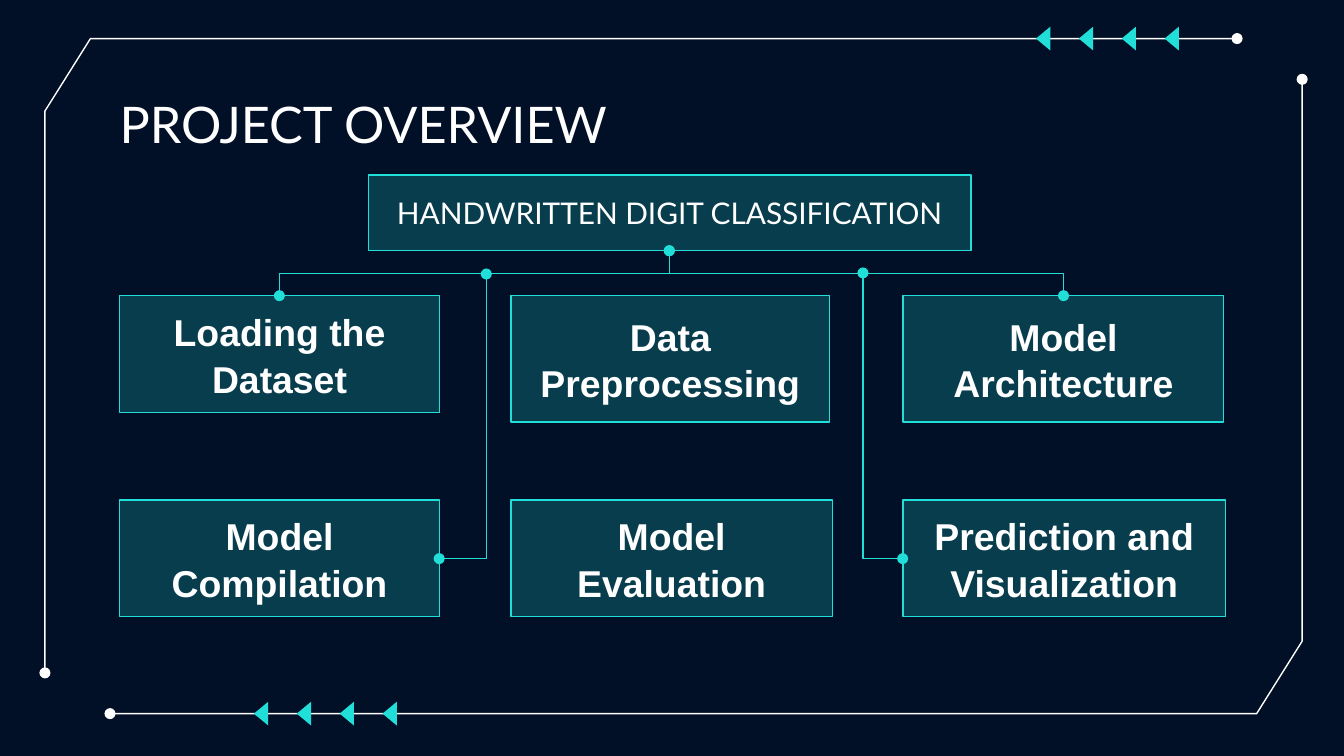
from dataclasses import dataclass

import pptx
import pptx.dml.color
import pptx.enum.shapes
import pptx.enum.text
import pptx.oxml
import pptx.oxml.ns
import pptx.util
from pptx.util import Cm, Pt

COLORS = {"night": "011027", "teal": "21DFD8", "white": "FFFFFF"}
TEAL_OPACITY = 22
MARGIN = 0.25
Point = tuple[float, float]


@dataclass(frozen=True)
class Box:
    text: str
    left: float
    top: float
    width: float
    height: float
    font: str = "Arial"
    size: int = 20
    bold: bool = True
    spacing: float = 1.04


@dataclass(frozen=True)
class Link:
    start: Point
    end: Point
    preset: str


COLUMNS = (2.26, 9.66, 17.07)
TOP_ROW, BOTTOM_ROW = 5.59, 9.45
BOXES = (
    Box("HANDWRITTEN DIGIT CLASSIFICATION", 6.97, 3.31, 11.38, 1.43, "Lato", 16, False, 1.0),
    Box("Loading the Dataset", COLUMNS[0], TOP_ROW, 6.05, 2.21),
    Box("Data Preprocessing", COLUMNS[1], TOP_ROW, 6.02, 2.39),
    Box("Model Architecture", COLUMNS[2], TOP_ROW, 6.06, 2.39),
    Box("Model Compilation", COLUMNS[0], BOTTOM_ROW, 6.05, 2.21),
    Box("Model Evaluation", COLUMNS[1], BOTTOM_ROW, 6.07, 2.21),
    Box("Prediction and Visualization", COLUMNS[2], BOTTOM_ROW, 6.09, 2.21),
)
HEADER_FOOT = (12.65, 4.74)
LINKS = (
    Link(HEADER_FOOT, (5.28, TOP_ROW), "bentConnector3"),
    Link(HEADER_FOOT, (20.1, TOP_ROW), "bentConnector3"),
    Link((9.19, 5.18), (8.3, 10.56), "bentConnector2"),
    Link((16.31, 5.16), (17.06, 10.56), "bentConnector2"),
)

FRAME = ((24.61, 1.5), (24.61, 12.12), (23.75, 13.49), (2.08, 13.49))
FRAME_SUM = (25.46, 14.22)  # x + x' and y + y' of points facing each other
ARROW_ROWS = ((4.8, 13.49), (19.58, 0.73))  # first tip of each row
ARROW_COUNT, ARROW_PITCH = 4, 0.81
ARROW_WIDTH, ARROW_HEIGHT = 0.27, 0.45


def rgb(name: str) -> pptx.dml.color.RGBColor:
    return pptx.dml.color.RGBColor.from_string(COLORS[name])


def set_line(shape, color: str) -> None:
    shape.line.color.rgb = rgb(color)
    shape.line.width = Pt(0.75)


def add_oval_ends(shape) -> None:
    line = shape.line._get_or_add_ln()
    for tag in ("a:headEnd", "a:tailEnd"):
        pptx.oxml.ns.qn(tag)
        end = line.makeelement(pptx.oxml.ns.qn(tag), {"type": "oval"})
        line.append(end)


def add_outline(page, points: list[Point], closed: bool):
    (x, y), *others = [(Cm(px), Cm(py)) for px, py in points]
    builder = page.shapes.build_freeform(x, y)
    builder.add_line_segments(others, close=closed)
    shape = builder.convert_to_shape()
    shape.shadow.inherit = False
    return shape


def draw_frame(page, points: list[Point]) -> None:
    frame = add_outline(page, points, closed=False)
    frame.fill.background()
    set_line(frame, "white")
    add_oval_ends(frame)


def draw_arrow(page, tip_x: float, tip_y: float) -> None:
    right, half = tip_x + ARROW_WIDTH, ARROW_HEIGHT / 2
    arrow = add_outline(
        page, [(right, tip_y + half), (right, tip_y - half), (tip_x, tip_y)], closed=True
    )
    arrow.fill.solid()
    arrow.fill.fore_color.rgb = rgb("teal")
    arrow.line.fill.background()


def set_margins(frame) -> None:
    frame.margin_left = frame.margin_right = Cm(MARGIN)
    frame.margin_top = frame.margin_bottom = Cm(MARGIN)
    frame.word_wrap = True
    frame.auto_size = pptx.enum.text.MSO_AUTO_SIZE.NONE


def set_font(para, name: str, size: int, bold: bool) -> None:
    para.font.name = name
    para.font.size = Pt(size)
    para.font.bold = bold
    para.font.color.rgb = rgb("white")


def draw_title(page, text: str) -> None:
    title = page.shapes.title
    title.left, title.top, title.width, title.height = Cm(2.01), Cm(1.5), Cm(21.41), Cm(1.6)
    frame = title.text_frame
    frame.text = text
    set_margins(frame)
    frame.vertical_anchor = pptx.enum.text.MSO_ANCHOR.TOP
    para = frame.paragraphs[0]
    para.alignment = pptx.enum.text.PP_ALIGN.LEFT
    set_font(para, "Lato", 27, False)


def draw_box(page, box: Box) -> None:
    shape = page.shapes.add_shape(
        pptx.enum.shapes.MSO_SHAPE.RECTANGLE,
        Cm(box.left), Cm(box.top), Cm(box.width), Cm(box.height),
    )
    shape.shadow.inherit = False
    shape.fill.solid()
    shape.fill.fore_color.rgb = rgb("teal")
    color = shape._element.spPr.find(".//" + pptx.oxml.ns.qn("a:srgbClr"))
    alpha = color.makeelement(pptx.oxml.ns.qn("a:alpha"), {"val": str(TEAL_OPACITY * 1000)})
    color.append(alpha)
    set_line(shape, "teal")
    frame = shape.text_frame
    frame.text = box.text
    set_margins(frame)
    frame.vertical_anchor = pptx.enum.text.MSO_ANCHOR.MIDDLE
    para = frame.paragraphs[0]
    para.alignment = pptx.enum.text.PP_ALIGN.CENTER
    para.line_spacing = box.spacing
    set_font(para, box.font, box.size, box.bold)


def draw_link(page, link: Link) -> None:
    """Draw a bent connector that leaves its start downwards, by a quarter turn."""
    (x1, y1), (x2, y2) = link.start, link.end
    drop, reach = y2 - y1, abs(x2 - x1)
    left, top = (x1 + x2 - drop) / 2, (y1 + y2 - reach) / 2
    connector = page.shapes.add_connector(
        pptx.enum.shapes.MSO_CONNECTOR.ELBOW,
        Cm(left), Cm(top), Cm(left + drop), Cm(top + reach),
    )
    properties = connector._element.spPr
    properties.find(pptx.oxml.ns.qn("a:prstGeom")).set("prst", link.preset)
    transform = properties.find(pptx.oxml.ns.qn("a:xfrm"))
    goes_right = x2 > x1
    transform.set("rot", str((270 if goes_right else 90) * 60000))
    if goes_right:
        transform.set("flipH", "1")
    set_line(connector, "teal")
    add_oval_ends(connector)
    properties.append(properties.makeelement(pptx.oxml.ns.qn("a:effectLst"), {}))


def main() -> None:
    deck = pptx.Presentation()
    deck.slide_width, deck.slide_height = Cm(25.4), Cm(14.29)
    page = deck.slides.add_slide(deck.slide_layouts.get_by_name("Title Only"))
    page.background.fill.solid()
    page.background.fill.fore_color.rgb = rgb("night")

    draw_frame(page, list(FRAME))
    draw_frame(page, [(FRAME_SUM[0] - x, FRAME_SUM[1] - y) for x, y in FRAME])
    for first_x, tip_y in ARROW_ROWS:
        for index in range(ARROW_COUNT):
            draw_arrow(page, first_x + index * ARROW_PITCH, tip_y)
    draw_title(page, "PROJECT OVERVIEW")
    for box in BOXES:
        draw_box(page, box)
    for link in LINKS:
        draw_link(page, link)
    deck.save("out.pptx")


if __name__ == "__main__":
    main()
